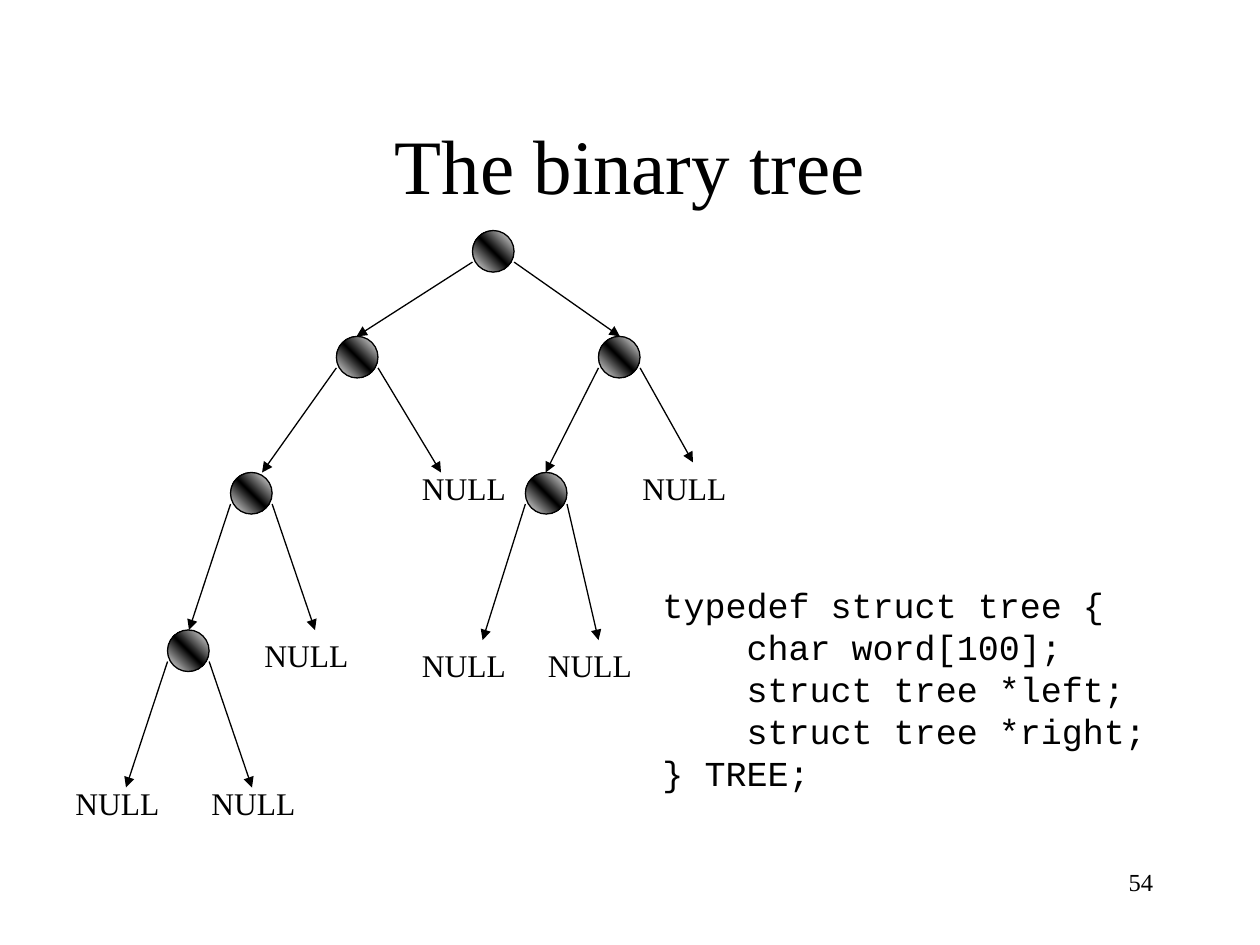
from copy import deepcopy

from lxml.etree import SubElement
from pptx import Presentation
from pptx.dml.color import RGBColor
from pptx.enum.shapes import MSO_CONNECTOR, MSO_SHAPE
from pptx.enum.text import MSO_ANCHOR, PP_ALIGN
from pptx.oxml.ns import qn
from pptx.util import Inches, Pt


def color(hex_string):
    return RGBColor.from_string(hex_string)


def add_text(left, top, width, height, lines, size, font="Times New Roman",
             align=PP_ALIGN.LEFT, anchor=MSO_ANCHOR.TOP, wrap=True):
    box = slide.shapes.add_textbox(Inches(left), Inches(top), Inches(width), Inches(height))
    frame = box.text_frame
    frame.word_wrap = wrap
    frame.vertical_anchor = anchor
    for index, line in enumerate(lines):
        paragraph = frame.paragraphs[0] if index == 0 else frame.add_paragraph()
        paragraph.alignment = align
        run = paragraph.add_run()
        run.text = line
        run.font.size = Pt(size)
        run.font.name = font
        run.font.color.rgb = color("000000")


prs = Presentation()
prs.slide_width = Inches(10)
prs.slide_height = Inches(7.5)
slide = prs.slides.add_slide(prs.slide_layouts[6])

add_text(0.75, 0.67, 8.5, 1.25, ["The binary tree"], 44,
         align=PP_ALIGN.CENTER, anchor=MSO_ANCHOR.MIDDLE)

diameter = 0.33
branch_drop = 0.25
gradient = [("FEFEFE", 0), ("000000", 0.5), ("FEFEFE", 1)]
tree_nodes = [
    (3.75, 1.83, (2.83, 2.67), (4.92, 2.67)),
    (2.67, 2.67, (2.08, 3.75), (3.5, 3.75)),
    (4.75, 2.67, (4.33, 3.75), (5.5, 3.67)),
    (1.83, 3.75, (1.5, 5), (2.5, 5)),
    (4.17, 3.75, (3.83, 5.08), (4.75, 5.08)),
    (1.33, 5, (1, 6.25), (2, 6.25)),
]
for left, top, left_child, right_child in tree_nodes:
    node = slide.shapes.add_shape(MSO_SHAPE.OVAL, Inches(left), Inches(top),
                                  Inches(diameter), Inches(diameter))
    node.shadow.inherit = False
    node.fill.gradient()
    node.fill.gradient_angle = 225
    stop_list = node.fill._xPr.find(qn("a:gradFill")).find(qn("a:gsLst"))
    stop_list.append(deepcopy(stop_list[0]))
    for stop, (shade, position) in zip(node.fill.gradient_stops, gradient):
        stop.color.rgb = color(shade)
        stop.position = position
    node.line.color.rgb = color("000000")
    node.line.width = Pt(0.75)

    for start_x, child in ((left, left_child), (left + diameter, right_child)):
        branch = slide.shapes.add_connector(
            MSO_CONNECTOR.STRAIGHT, Inches(start_x), Inches(top + branch_drop),
            Inches(child[0]), Inches(child[1]))
        branch.line.color.rgb = color("000000")
        branch.line.width = Pt(0.75)
        SubElement(branch.line._get_or_add_ln(), qn("a:tailEnd"), type="triangle")
        SubElement(branch._element.spPr, qn("a:effectLst"))

null_positions = [(3.25, 3.67), (5, 3.67), (2, 5), (3.25, 5.08),
                  (4.25, 5.08), (1.58, 6.17), (0.5, 6.17)]
for left, top in null_positions:
    add_text(left, top, 1, 0.4, ["NULL"], 18)

tree_struct = [
    "typedef struct tree {",
    "    char word[100];",
    "    struct tree *left;",
    "    struct tree *right;",
    "} TREE;",
]
add_text(5.16, 4.58, 4.04, 1.77, tree_struct, 20, font="Courier New", wrap=False)
add_text(7.17, 6.83, 2.08, 0.5, ["54"], 14, align=PP_ALIGN.RIGHT)

prs.save("out.pptx")
